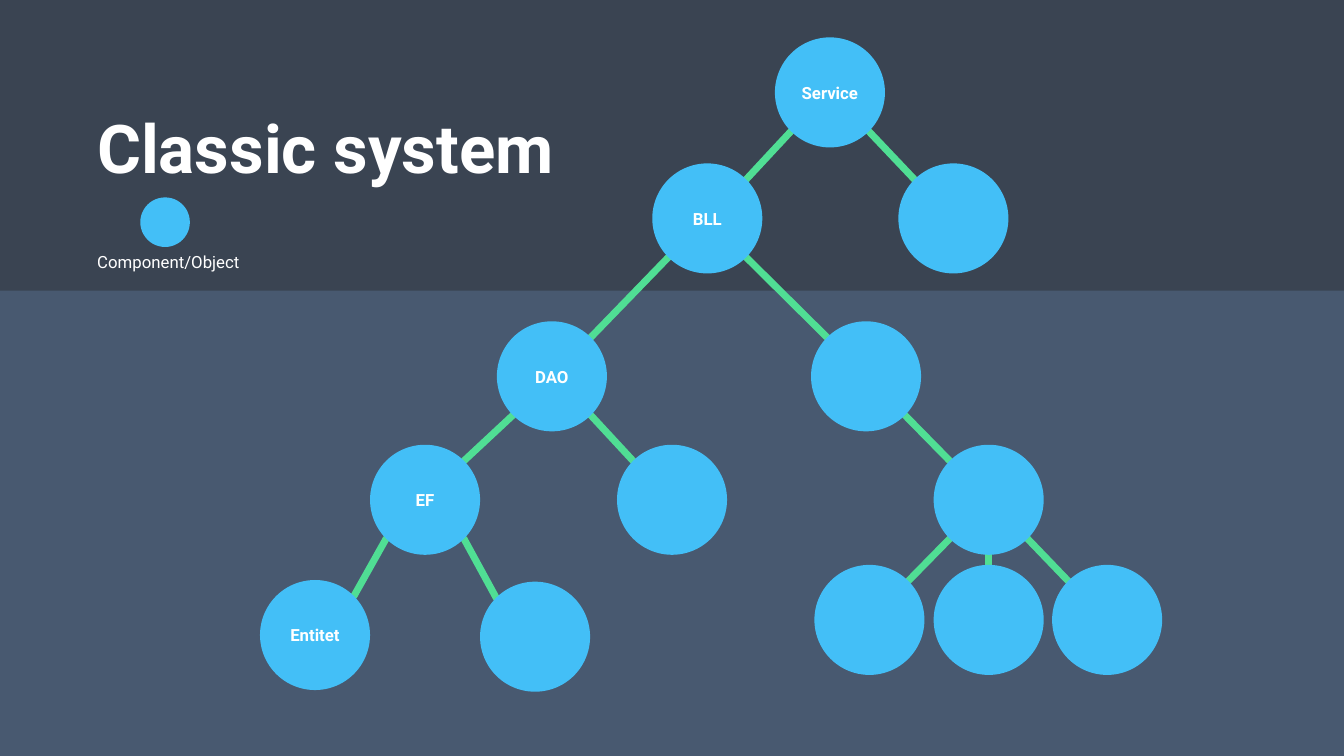
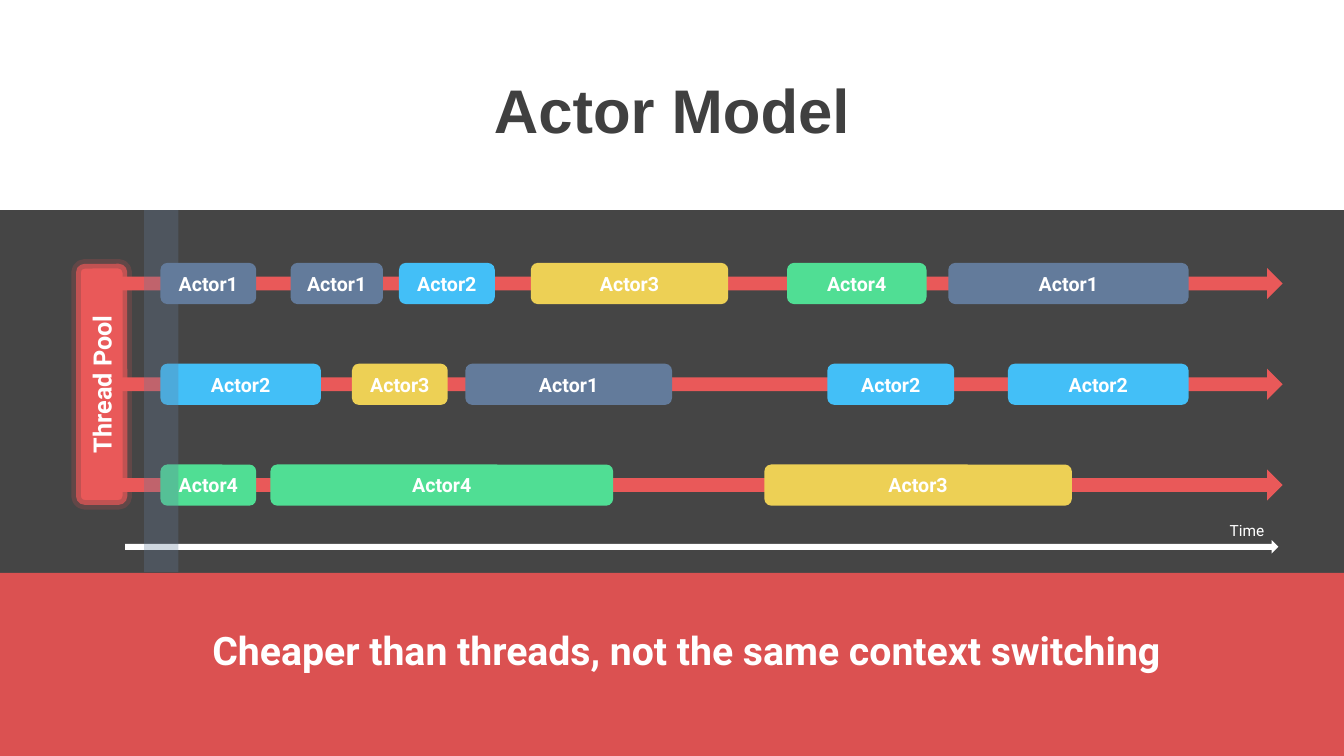
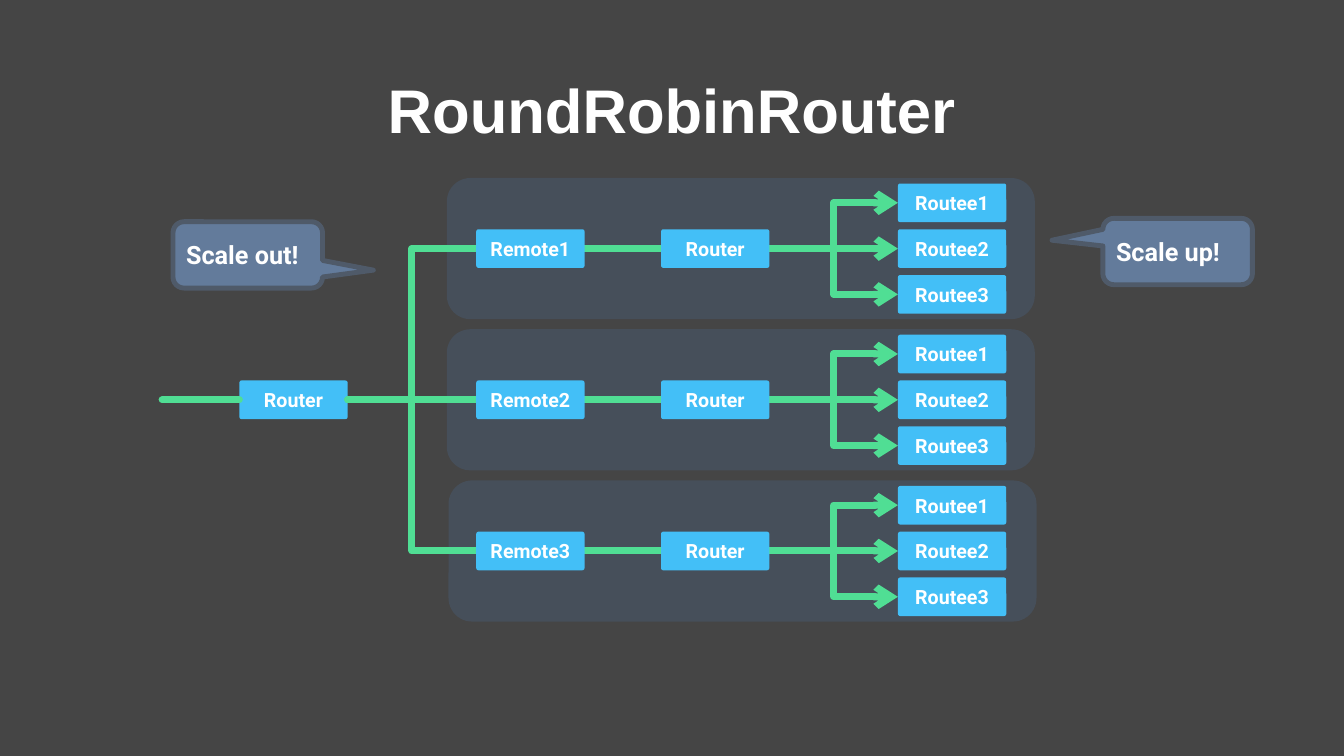
import math
from lxml import etree
from pptx import Presentation, util as u
from pptx.dml import color
from pptx.enum import shapes, text
from pptx.oxml import ns

COLORS = {
    "slate": "485970", "coal": "454545", "shade": "262626", "white": "FFFFFF",
    "ink": "404040", "blue": "43BFF7", "green": "50DE94", "yellow": "EDD055",
    "steel": "637B9B", "steel_edge": "4F5A69", "red": "E95959",
    "red_edge": "8C4A4A", "brick": "DB5151",
}
COLUMNS, ROWS = 160, 90
FORM = shapes.MSO_SHAPE
ALIGN = text.PP_ALIGN
CELL = u.Inches(13.333) / COLUMNS

deck = Presentation()
deck.slide_width = round(COLUMNS * CELL)
deck.slide_height = round(ROWS * CELL)


def block(slide, form, box, fill=None, label="", size=14, ink="white", bold=True,
          align=ALIGN.CENTER, edge=None, edge_width=0, alpha=None, font="Roboto", wrap=True):
    place = [round(n * CELL) for n in box]
    if form is None:
        shape = slide.shapes.add_textbox(*place)
    else:
        shape = slide.shapes.add_shape(form, *place)
        shape.shadow.inherit = False
        shape.fill.solid()
        shape.fill.fore_color.rgb = color.RGBColor.from_string(COLORS[fill])
        if edge:
            shape.line.color.rgb = color.RGBColor.from_string(COLORS[edge])
            shape.line.width = u.Pt(edge_width)
        else:
            shape.line.fill.background()
        if alpha:
            tint = shape.element.spPr.find(ns.qn("a:solidFill"))[0]
            etree.SubElement(tint, ns.qn("a:alpha"), val=str(alpha * 1000))
    if label:
        shape.text_frame.word_wrap = wrap
        line = shape.text_frame.paragraphs[0]
        line.text = label
        line.alignment = align
        line.font.name = font
        line.font.size = u.Pt(size)
        line.font.bold = bold
        line.font.color.rgb = color.RGBColor.from_string(COLORS[ink])
    return shape


def wire(slide, ends, bent=False, arrow=False):
    form = shapes.MSO_CONNECTOR.ELBOW if bent else shapes.MSO_CONNECTOR.STRAIGHT
    link = slide.shapes.add_connector(form, *[round(n * CELL) for n in ends])
    link.line.color.rgb = color.RGBColor.from_string(COLORS["green"])
    link.line.width = u.Pt(5)
    stroke = link.element.spPr.find(ns.qn("a:ln"))
    stroke.set("cap", "rnd")
    etree.SubElement(stroke, ns.qn("a:round"))
    if arrow:
        etree.SubElement(stroke, ns.qn("a:tailEnd"), type="arrow")
    etree.SubElement(link.element.spPr, ns.qn("a:effectLst"))
    return link


classic, actors, routing = [deck.slides.add_slide(deck.slide_layouts[6]) for _ in range(3)]
for slide, backdrop in ((classic, "slate"), (actors, "coal"), (routing, "coal")):
    slide.background.fill.solid()
    slide.background.fill.fore_color.rgb = color.RGBColor.from_string(COLORS[backdrop])

block(classic, FORM.RECTANGLE, (0, 0, COLUMNS, 34.6), "shade", alpha=40)
block(classic, None, (10.4, 12.1, 75.6, 10.9), label="Classic system", size=48, align=ALIGN.LEFT)

node_size = 13.1
radius = node_size / 2
diagonal = radius / math.sqrt(2)
nodes = [
    (98.8, 11, "Service", None), (84.2, 26, "BLL", 0), (113.5, 26, "", 0),
    (65.7, 44.8, "DAO", 1), (103.1, 44.8, "", 1),
    (50.6, 59.5, "EF", 3), (80, 59.5, "", 3), (117.7, 59.5, "", 4),
    (37.5, 75.6, "Entitet", 5), (63.7, 75.8, "", 5),
    (103.5, 73.8, "", 7), (117.7, 73.8, "", 7), (131.8, 73.8, "", 7),
]
for x, y, _, parent in nodes[1:]:
    parent_x, parent_y = nodes[parent][:2]
    dx, dy = (math.copysign(diagonal, x - parent_x), diagonal) if x != parent_x else (0, radius)
    wire(classic, (parent_x + dx, parent_y + dy, x - dx, y - dy))
for x, y, label, _ in nodes:
    block(classic, FORM.OVAL, (x - radius, y - radius, node_size, node_size), "blue", label, 12)

block(classic, FORM.OVAL, (16.7, 23.5, 5.9, 5.9), "blue")
block(classic, None, (10.4, 29.4, 19.7, 3.6), label="Component/Object", size=12,
      bold=False, align=ALIGN.LEFT, wrap=False)

pool = block(actors, FORM.ROUNDED_RECTANGLE, (-2.25, 42.7, 28.7, 6.1), "red", "Thread Pool", 18,
             edge="red_edge", edge_width=6.75)
pool.rotation = 270
glow = pool.element.spPr.find(ns.qn("a:ln")).find(ns.qn("a:solidFill"))[0]
etree.SubElement(glow, ns.qn("a:alpha"), val="41000")
block(actors, FORM.RECTANGLE, (0, 0, COLUMNS, 25), "white")

for slide, label, ink in ((actors, "Actor Model", "ink"), (routing, "RoundRobinRouter", "white")):
    title = block(slide, None, (11, 4.8, 138, 17.4), label=label, size=44, ink=ink, font="Arial")
    title.text_frame.vertical_anchor = text.MSO_ANCHOR.MIDDLE
    title.text_frame.paragraphs[0].line_spacing = 0.9

actor_colors = {1: "steel", 2: "blue", 3: "yellow", 4: "green"}
lanes = [
    [(1, 19.1, 11.4), (1, 34.6, 11), (2, 47.5, 11.4), (3, 63.2, 23.5),
     (4, 93.7, 16.6), (1, 112.9, 28.6)],
    [(2, 19.1, 19.1), (3, 41.9, 11.4), (1, 55.4, 24.6), (2, 98.5, 15.1), (2, 120, 21.5)],
    [(4, 19.1, 11.4), (4, 32.2, 40.8), (3, 91, 36.6)],
]
lane_middles = [33.75 + 12 * lane for lane in range(len(lanes))]
arrows = [(middle, 1, "red", 6.75) for middle in lane_middles] + [(65.1, 0.6, "white", 2.5)]
for middle, height, tone, width in arrows:
    arrow = block(actors, FORM.RIGHT_ARROW, (15.1, middle - height / 2, 136.8, height), tone,
                  edge=tone, edge_width=width)
    etree.SubElement(arrow.element.spPr.find(ns.qn("a:ln")), ns.qn("a:miter"), lim="800000")
for middle, tasks in zip(lane_middles, lanes):
    for actor, left, width in tasks:
        block(actors, FORM.ROUNDED_RECTANGLE, (left, middle - 2.45, width, 4.9),
              actor_colors[actor], f"Actor{actor}")

block(actors, FORM.RECTANGLE, (0, 68.2, COLUMNS, 21.8), "brick")
block(actors, None, (1.7, 74, COLUMNS, 6.9), size=28,
      label="Cheaper than threads, not the same context switching")
block(actors, FORM.RECTANGLE, (17.15, 25, 4.1, 43.1), "steel", alpha=30)
block(actors, None, (145.2, 61.4, 6.6, 3.5), label="Time", size=11, bold=False,
      align=ALIGN.LEFT, wrap=False)

box_width, box_height = 12.9, 4.6
branch_middles = [29.6 + 18 * branch for branch in range(3)]
boxes = {}
plan = [("hub", 28.5, branch_middles[1], "Router")]
links = []
for branch, middle in enumerate(branch_middles):
    block(routing, FORM.ROUNDED_RECTANGLE, (53.4 if branch == 2 else 53.2, middle - 8.4, 70, 16.8),
          "slate", alpha=50)
    for routee in range(3):
        plan.append(((branch, routee), 106.9, middle + 5.45 * (routee - 1), f"Routee{routee + 1}"))
        links.append(((branch, "router"), (branch, routee), True))
    plan.append(((branch, "router"), 78.7, middle, "Router"))
    plan.append(((branch, "remote"), 56.7, middle, f"Remote{branch + 1}"))
    links.append(((branch, "remote"), (branch, "router"), False))
    links.append(("hub", (branch, "remote"), False))

for key, left, middle, label in plan:
    boxes[key] = block(routing, FORM.ROUNDED_RECTANGLE,
                       (left, middle - box_height / 2, box_width, box_height), "blue", label)
    boxes[key].adjustments[0] = 0.06
for source, target, pointed in links:
    bent = abs(boxes[source].top - boxes[target].top) > CELL
    link = wire(routing, (0, 0, 1, 1), bent, pointed)
    link.begin_connect(boxes[source], 3)
    link.end_connect(boxes[target], 1)
    boxes[target].element.addprevious(link.element)
inlet = wire(routing, (19.3, branch_middles[1], 28.5, branch_middles[1]))
inlet.end_connect(boxes["hub"], 1)

for left, top, label, tip in ((131.3, 26, "Scale up!", (-0.84, -0.17)),
                              (20.6, 26.4, "Scale out!", (0.84, 0.23))):
    callout = block(routing, FORM.ROUNDED_RECTANGULAR_CALLOUT, (left, top, 17.8, 7.9), "steel",
                    label, 18, align=ALIGN.LEFT, edge="steel_edge", edge_width=3.5)
    callout.adjustments[0], callout.adjustments[1] = tip

deck.save("out.pptx")
